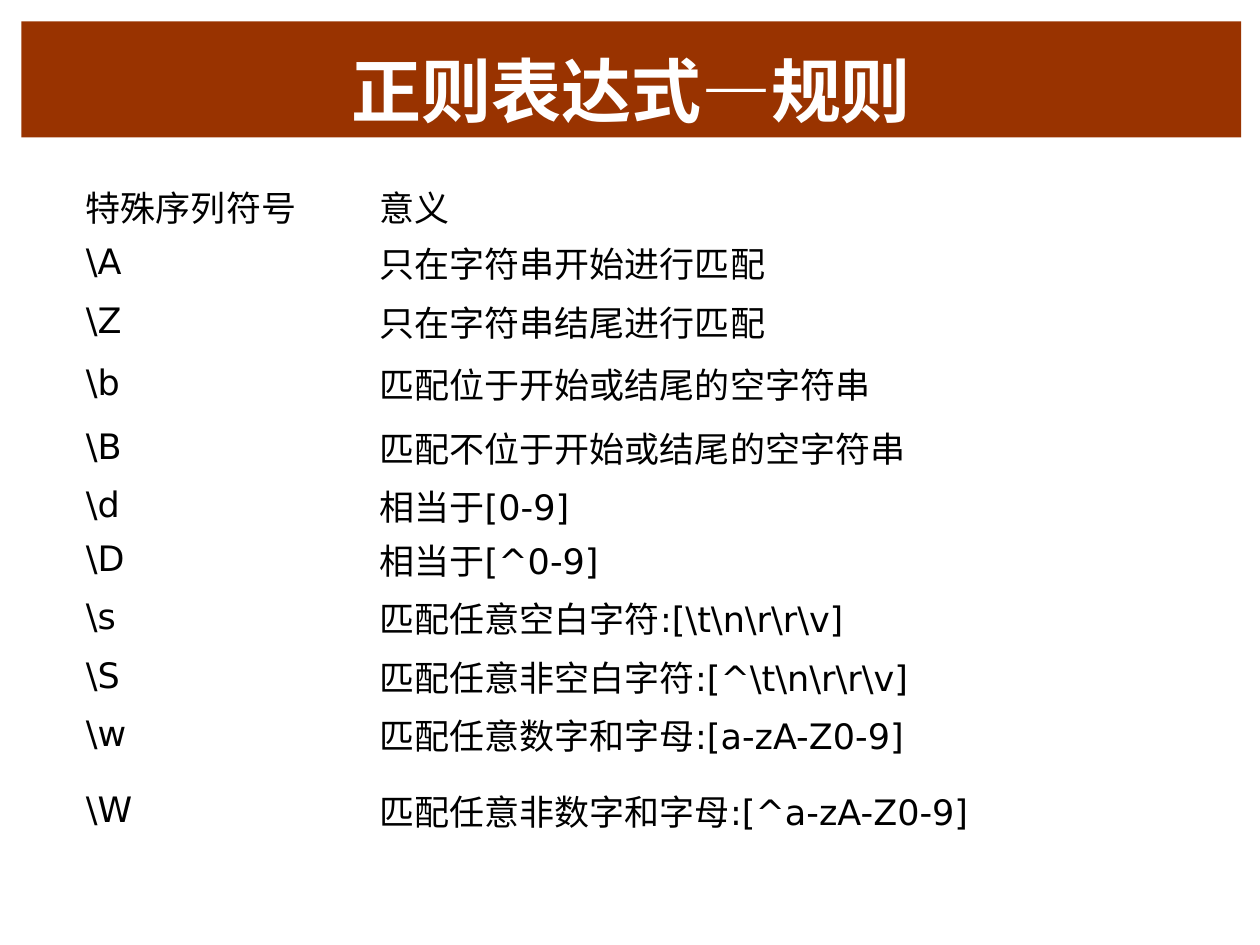
from pptx import Presentation
from pptx.dml.color import RGBColor
from pptx.enum.shapes import MSO_SHAPE
from pptx.enum.text import MSO_ANCHOR, PP_ALIGN
from pptx.util import Cm, Pt

RECTANGLE = MSO_SHAPE.RECTANGLE
CENTER = PP_ALIGN.CENTER
BOTTOM = MSO_ANCHOR.BOTTOM
MIDDLE = MSO_ANCHOR.MIDDLE

RUST = RGBColor(0x99, 0x33, 0x00)
WHITE = RGBColor(0xFF, 0xFF, 0xFF)
BLACK = RGBColor(0x00, 0x00, 0x00)

COLUMN_WIDTHS = (5.92, 16.31)
TABLE_HEIGHT = 13.08
RULES = (
    ("特殊序列符号", "意义", 0.64),
    (r"\A", "只在字符串开始进行匹配", 1.19),
    (r"\Z", "只在字符串结尾进行匹配", 1.19),
    (r"\b", "匹配位于开始或结尾的空字符串", 1.3),
    (r"\B", "匹配不位于开始或结尾的空字符串", 1.27),
    (r"\d", "相当于[0-9]", 0.64),
    (r"\D", "相当于[^0-9]", 0.64),
    (r"\s", r"匹配任意空白字符:[\t\n\r\r\v]", 1.27),
    (r"\S", r"匹配任意非空白字符:[^\t\n\r\r\v]", 1.07),
    (r"\w", "匹配任意数字和字母:[a-zA-Z0-9]", 1.27),
    (r"\W", "匹配任意非数字和字母:[^a-zA-Z0-9]", 1.78),
)


class SlideBuilder:
    font_name = "DejaVu Sans"
    title_size = Pt(40)
    body_size = Pt(20)
    cell_margin = Cm(0.03)

    def __init__(self, slide):
        self.slide = slide

    def add_run(self, paragraph, text, size, color, bold=False):
        run = paragraph.add_run()
        run.text = text
        run.font.name = self.font_name
        run.font.size = size
        run.font.bold = bold
        run.font.color.rgb = color

    def add_title(self, text, left, top, width, height):
        banner = self.slide.shapes.add_shape(
            RECTANGLE, Cm(left), Cm(top), Cm(width), Cm(height))
        banner.shadow.inherit = False
        banner.fill.solid()
        banner.fill.fore_color.rgb = RUST
        banner.line.fill.background()
        frame = banner.text_frame
        frame.word_wrap = True
        frame.vertical_anchor = BOTTOM
        heading = frame.paragraphs[0]
        heading.alignment = CENTER
        self.add_run(heading, text, self.title_size, WHITE, bold=True)

    def fill_cell(self, cell, text):
        cell.fill.solid()
        cell.fill.fore_color.rgb = WHITE
        cell.vertical_anchor = MIDDLE
        cell.margin_left = cell.margin_right = self.cell_margin
        cell.margin_top = cell.margin_bottom = self.cell_margin
        self.add_run(cell.text_frame.paragraphs[0], text, self.body_size, BLACK)

    def add_rules(self, rules, left, top, widths, height):
        holder = self.slide.shapes.add_table(
            len(rules), len(widths), Cm(left), Cm(top), Cm(sum(widths)), Cm(height))
        table = holder.table
        table.first_row = False
        table.horz_banding = False
        for column, width in zip(table.columns, widths):
            column.width = Cm(width)
        for row, (symbol, meaning, row_height) in zip(table.rows, rules):
            row.height = Cm(row_height)
            for cell, text in zip(row.cells, (symbol, meaning)):
                self.fill_cell(cell, text)
        holder.height = Cm(height)


def main():
    deck = Presentation()
    deck.slide_width = Cm(25.4)
    deck.slide_height = Cm(19.05)
    builder = SlideBuilder(deck.slides.add_slide(deck.slide_layouts[6]))
    builder.add_title("正则表达式—规则", 0.43, 0.43, 24.59, 2.34)
    builder.add_rules(RULES, 1.7, 3.61, COLUMN_WIDTHS, TABLE_HEIGHT)
    deck.save("out.pptx")


if __name__ == "__main__":
    main()
